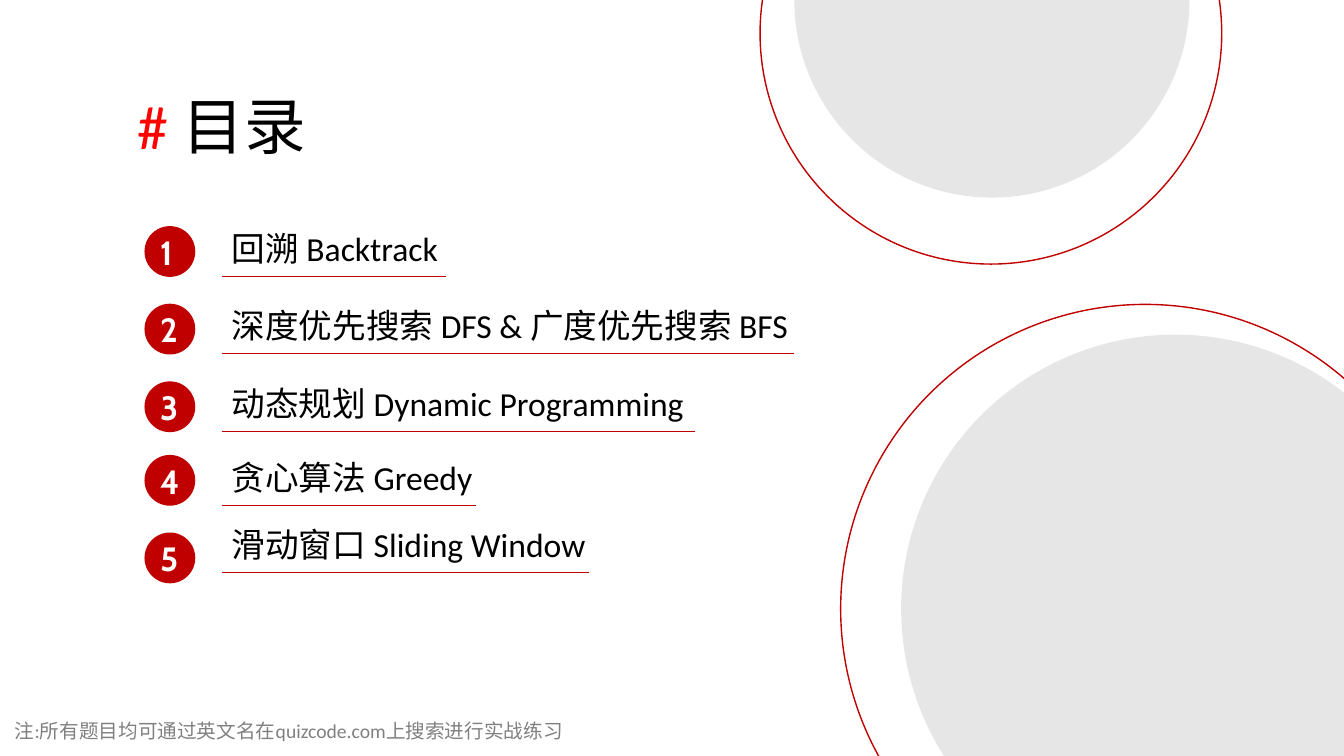
from pptx import Presentation
from pptx.util import Inches, Pt
from pptx.dml.color import RGBColor
from pptx.enum.shapes import MSO_SHAPE as Shape, MSO_CONNECTOR as Link
from pptx.enum.text import MSO_ANCHOR as Anchor
from pptx.oxml.ns import qn
from lxml.etree import SubElement

COLS, ROWS = 133.33, 75
CELL = Inches(0.1)
COLORS = {"red": "C00000", "hash": "FF0000", "black": "000000",
          "white": "FFFFFF", "disc": "E7E6E6", "note": "808080"}
TOPICS = [
    ("回溯 Backtrack", 21.7, 22.2, 0.8),
    ("深度优先搜索 DFS & 广度优先搜索 BFS", 29.4, 56.8, 0.8),
    ("动态规划 Dynamic Programming", 37.1, 46.9, 0.8),
    ("贪心算法 Greedy", 44.4, 25.2, 0.8),
    ("滑动窗口 Sliding Window", 51.1, 36.4, 1.8),
]


def grid(*units):
    return [round(unit * CELL) for unit in units]


def color(name):
    return RGBColor.from_string(COLORS[name])


def add_text(slide, box, runs, size, font="Calibri", bold=False,
             lead=1.0, before=0, anchor=Anchor.TOP):
    frame = slide.shapes.add_textbox(*grid(*box)).text_frame
    frame.word_wrap = True
    frame.vertical_anchor = anchor
    para = frame.paragraphs[0]
    para.line_spacing = lead
    para.space_before = Pt(before)
    for words, tint in runs:
        run = para.add_run()
        run.text = words
        run.font.name = font
        run.font.size = Pt(size)
        run.font.bold = bold
        run.font.color.rgb = color(tint)
        for tag in ("a:ea", "a:cs"):
            SubElement(run.font._element, qn(tag), typeface=font)


def add_disc(slide, left, top, size, fill=None, line=None):
    disc = slide.shapes.add_shape(Shape.OVAL, *grid(left, top, size, size))
    disc.shadow.inherit = False
    if fill:
        disc.fill.solid()
        disc.fill.fore_color.rgb = color(fill)
    else:
        disc.fill.background()
    if line:
        disc.line.color.rgb = color(line)
        disc.line.width = Pt(1)
    else:
        disc.line.fill.background()


def add_rule(slide, left, top, length):
    rule = slide.shapes.add_connector(
        Link.STRAIGHT, *grid(left, top, left + length, top))
    rule.line.color.rgb = color("red")
    rule.line.width = Pt(0.5)
    SubElement(rule._element.spPr, qn("a:effectLst"))


def add_topic(slide, box, number, words, length, drop):
    left, top, width, height = box
    add_disc(slide, left, top + drop, 4.9, "red", "red")
    add_text(slide, (left + 0.5, top + drop, 4.7, 5.4),
             [(str(number), "white")], 24, "Cabin", True)
    add_text(slide, (left + 7.6, top, width - 7.6, height),
             [(words, "black")], 24, lead=1.1, before=10)
    add_rule(slide, left + 7.6, top + height, length)


def add_title(slide, box):
    add_text(slide, box, [("# ", "hash"), ("目录", "black")], 44,
             lead=0.9, anchor=Anchor.BOTTOM)


def add_note(slide, box):
    words = "注:所有题目均可通过英文名在quizcode.com上搜索进行实战练习"
    add_text(slide, box, [(words, "note")], 14, lead=1.1, before=10)


def add_decor(slide, box):
    left, top, size, disc, shift, drop = box
    add_disc(slide, left + shift, top + drop, disc, fill="disc")
    add_disc(slide, left, top, size, line="red")


def add_agenda(deck):
    slide = deck.slides.add_slide(deck.slide_layouts[6])
    add_decor(slide, (75.4, -19.6, 45.8, 39.2, 3.4, 0))
    add_decor(slide, (83.4, 30.2, 60.4, 54.4, 6, 3))
    add_title(slide, (12.7, 5.4, 100, 11.2))
    for number, (words, top, length, drop) in enumerate(TOPICS, 1):
        add_topic(slide, (14.4, top, 107.6, 5.7), number, words, length, drop)
    add_note(slide, (0.5, 70.6, 71.4, 4.4))


def main():
    deck = Presentation()
    deck.slide_width, deck.slide_height = grid(COLS, ROWS)
    add_agenda(deck)
    deck.save("out.pptx")


if __name__ == "__main__":
    main()
